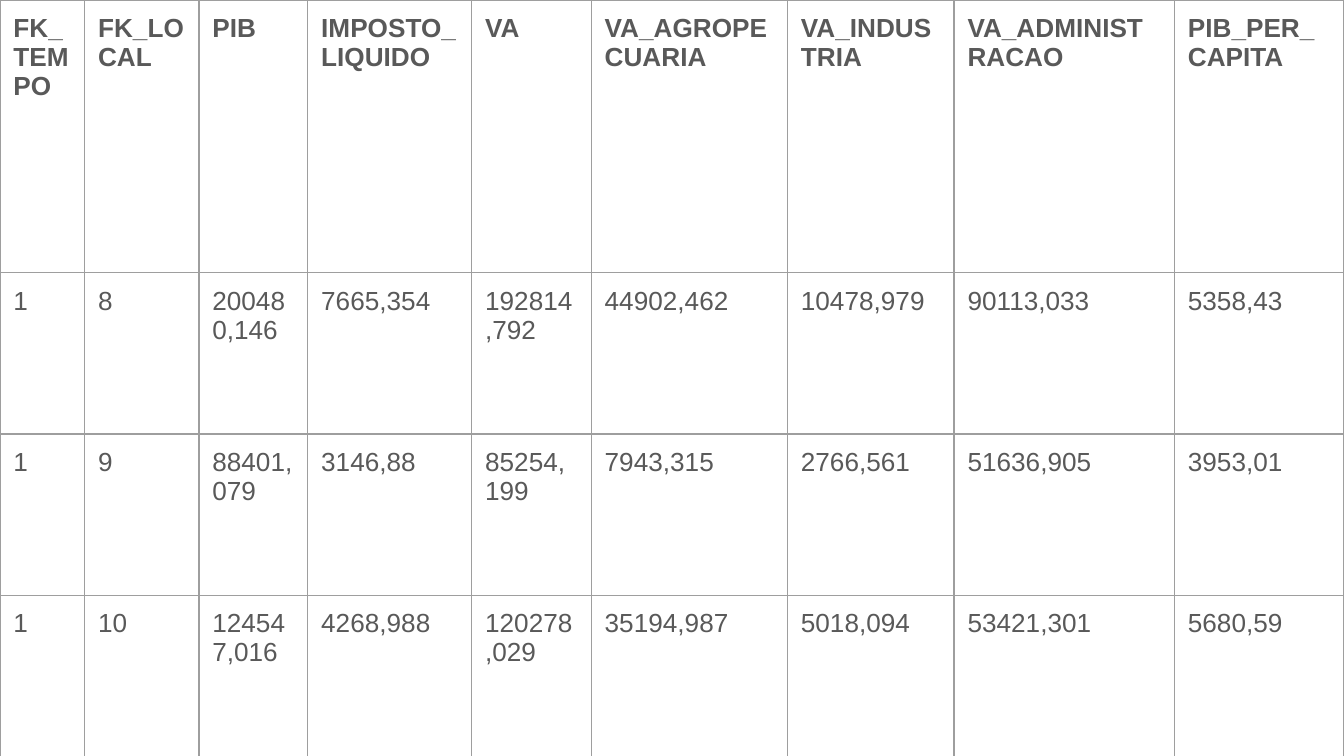
from lxml.etree import SubElement
from pptx import Presentation
from pptx.dml.color import RGBColor
from pptx.oxml.ns import qn
from pptx.util import Inches, Pt

TEXT_COLOR = "595959"
BORDER_COLOR = "9E9E9E"
COLUMN_WIDTHS = [0.63, 0.85, 0.81, 1.22, 0.89, 1.46, 1.24, 1.64, 1.26]
ROW_HEIGHTS = [2.03, 1.2, 1.2, 1.2]
ROWS = [
    ["FK_TEMPO", "FK_LOCAL", "PIB", "IMPOSTO_LIQUIDO", "VA", "VA_AGROPECUARIA",
     "VA_INDUSTRIA", "VA_ADMINISTRACAO", "PIB_PER_CAPITA"],
    ["1", "8", "200480,146", "7665,354", "192814,792", "44902,462",
     "10478,979", "90113,033", "5358,43"],
    ["1", "9", "88401,079", "3146,88", "85254,199", "7943,315",
     "2766,561", "51636,905", "3953,01"],
    ["1", "10", "124547,016", "4268,988", "120278,029", "35194,987",
     "5018,094", "53421,301", "5680,59"],
]


def color(value):
    return RGBColor.from_string(value)


def add_borders(cell):
    properties = cell._tc.get_or_add_tcPr()
    for side in ("a:lnL", "a:lnR", "a:lnT", "a:lnB"):
        line = SubElement(properties, qn(side), w=str(Pt(0.75)))
        fill = SubElement(line, qn("a:solidFill"))
        SubElement(fill, qn("a:srgbClr"), val=BORDER_COLOR)


presentation = Presentation()
presentation.slide_width = Inches(10)
presentation.slide_height = Inches(10 * 9 / 16)
slide = presentation.slides.add_slide(presentation.slide_layouts[6])

table = slide.shapes.add_table(
    len(ROWS), len(COLUMN_WIDTHS), 0, 0,
    Inches(sum(COLUMN_WIDTHS)), Inches(sum(ROW_HEIGHTS)),
).table
table.horz_banding = False
for column, width in zip(table.columns, COLUMN_WIDTHS):
    column.width = Inches(width)

for row_index, (row, height, values) in enumerate(zip(table.rows, ROW_HEIGHTS, ROWS)):
    row.height = Inches(height)
    for cell, value in zip(row.cells, values):
        cell.text = value
        cell.margin_left = cell.margin_right = Inches(0.1)
        cell.margin_top = cell.margin_bottom = Inches(0.1)
        add_borders(cell)
        cell.fill.background()
        font = cell.text_frame.paragraphs[0].font
        font.name = "Arial"
        font.size = Pt(14)
        font.bold = row_index == 0
        font.color.rgb = color(TEXT_COLOR)

presentation.save("out.pptx")
